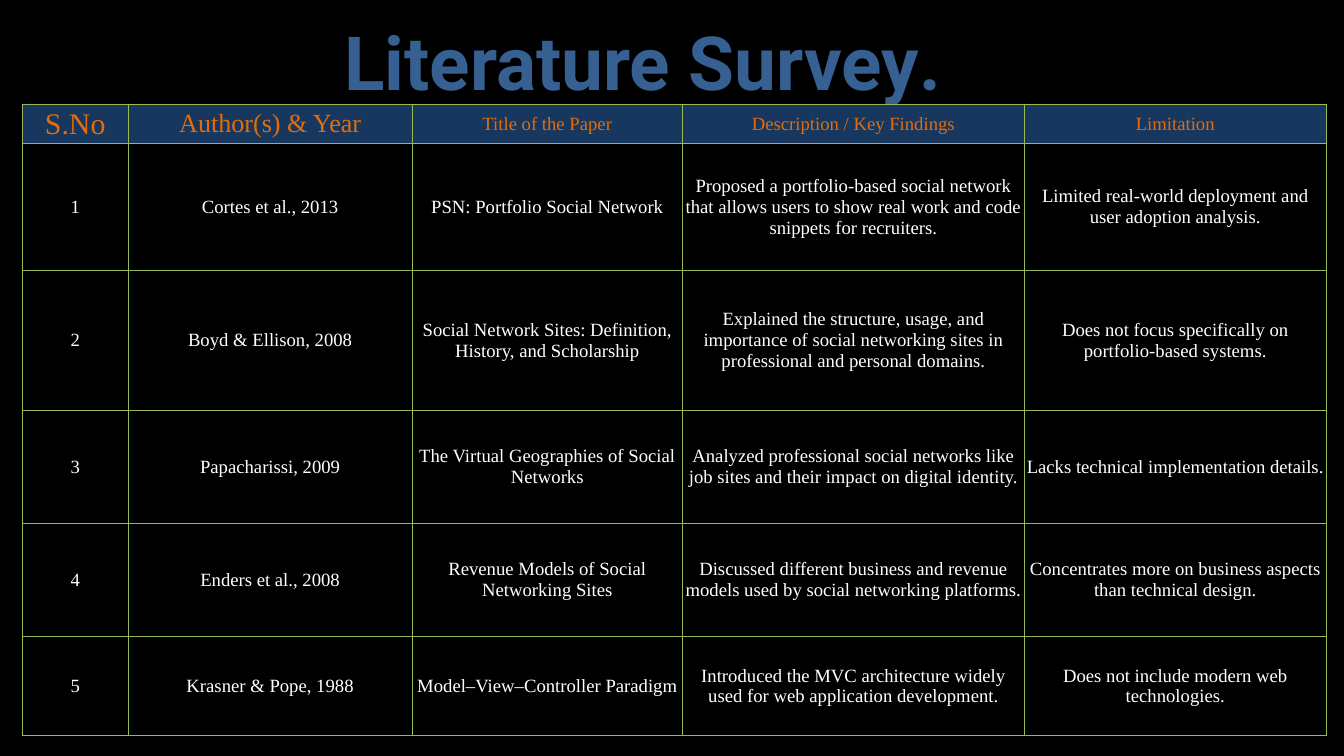
from lxml import etree
from pptx import Presentation
from pptx.dml.color import RGBColor
from pptx.enum import text
from pptx.oxml import ns
from pptx.util import Inches, Pt

# Content
TITLE = ("Literature Survey", ".")
HEADERS = [
    ("S.No", 32),
    ("Author(s) & Year", 28),
    ("Title of the Paper", 20),
    ("Description / Key Findings", 20),
    ("Limitation", 20),
]
PAPERS = [
    ("Cortes et al., 2013", "PSN: Portfolio Social Network",
     "Proposed a portfolio-based social network that allows users to show "
     "real work and code snippets for recruiters.",
     "Limited real-world deployment and user adoption analysis."),
    ("Boyd & Ellison, 2008",
     "Social Network Sites: Definition, History, and Scholarship",
     "Explained the structure, usage, and importance of social networking "
     "sites in professional and personal domains.",
     "Does not focus specifically on portfolio-based systems."),
    ("Papacharissi, 2009", "The Virtual Geographies of Social Networks",
     "Analyzed professional social networks like job sites and their impact "
     "on digital identity.",
     "Lacks technical implementation details."),
    ("Enders et al., 2008", "Revenue Models of Social Networking Sites",
     "Discussed different business and revenue models used by social "
     "networking platforms.",
     "Concentrates more on business aspects than technical design."),
    ("Krasner & Pope, 1988", "Model–View–Controller Paradigm",
     "Introduced the MVC architecture widely used for web application "
     "development.",
     "Does not include modern web technologies."),
]

# Layout and colours
COLUMN_WIDTHS = [1.58, 4.22, 4.03, 5.08, 4.5]
ROW_HEIGHTS = [0.59, 1.88, 2.09, 1.68, 1.68, 1.48]
BODY_SIZE = 20
BLACK, WHITE = "000000", "FFFFFF"
NAVY, BLUE, ORANGE, GREEN = "17375E", "376092", "E46C0A", "98B955"


def color(value):
    return RGBColor.from_string(value)


def format_font(font, name, size, value):
    font.name = name
    font.size = Pt(size)
    font.color.rgb = color(value)


def add_borders(cell, value, width):
    properties = cell._tc.get_or_add_tcPr()
    for index, side in enumerate(("lnL", "lnR", "lnT", "lnB")):
        line = etree.Element(ns.qn(f"a:{side}"), w=str(Pt(width)))
        fill = etree.SubElement(line, ns.qn("a:solidFill"))
        etree.SubElement(fill, ns.qn("a:srgbClr"), val=value)
        properties.insert(index, line)


def fill_cell(cell, content, size, font_color, background):
    cell.text = content
    cell.vertical_anchor = text.MSO_ANCHOR.MIDDLE
    cell.margin_left = cell.margin_right = Inches(0.04)
    cell.margin_top = cell.margin_bottom = Inches(0.02)
    cell.fill.solid()
    cell.fill.fore_color.rgb = color(background)
    add_borders(cell, GREEN, 0.75)
    paragraph = cell.text_frame.paragraphs[0]
    paragraph.alignment = text.PP_ALIGN.CENTER
    format_font(paragraph.font, "Times New Roman", size, font_color)
    paragraph.font.bold = False


def add_title(slide):
    title = slide.shapes.title
    title.left, title.top = Inches(4.11), Inches(-0.57)
    title.width, title.height = Inches(10), Inches(1.95)
    frame = title.text_frame
    frame.word_wrap = True
    frame.vertical_anchor = text.MSO_ANCHOR.TOP
    frame.auto_size = text.MSO_AUTO_SIZE.SHAPE_TO_FIT_TEXT
    paragraph = frame.paragraphs[0]
    paragraph.alignment = text.PP_ALIGN.RIGHT
    paragraph.line_spacing = Pt(150.9)
    for part in TITLE:
        run = paragraph.add_run()
        run.text = part
    run.font._element.set("spc", "-630")  # tighten the full stop
    format_font(paragraph.font, "Roboto", 80, BLUE)
    paragraph.font.bold = True


def add_survey_table(slide):
    table = slide.shapes.add_table(
        len(ROW_HEIGHTS), len(COLUMN_WIDTHS), Inches(0.33), Inches(1.55),
        Inches(sum(COLUMN_WIDTHS)), Inches(sum(ROW_HEIGHTS))).table
    for column, width in zip(table.columns, COLUMN_WIDTHS):
        column.width = Inches(width)
    for row, height in zip(table.rows, ROW_HEIGHTS):
        row.height = Inches(height)

    for column, (header, size) in enumerate(HEADERS):
        fill_cell(table.cell(0, column), header, size, ORANGE, NAVY)
    for number, paper in enumerate(PAPERS, start=1):
        for column, content in enumerate((str(number), *paper)):
            fill_cell(table.cell(number, column), content, BODY_SIZE, WHITE, BLACK)


def main():
    presentation = Presentation()
    presentation.slide_width = Inches(20)
    presentation.slide_height = Inches(11.25)
    slide = presentation.slides.add_slide(presentation.slide_layouts[5])
    slide.background.fill.solid()
    slide.background.fill.fore_color.rgb = color(BLACK)
    add_title(slide)
    add_survey_table(slide)
    presentation.save("out.pptx")


if __name__ == "__main__":
    main()
